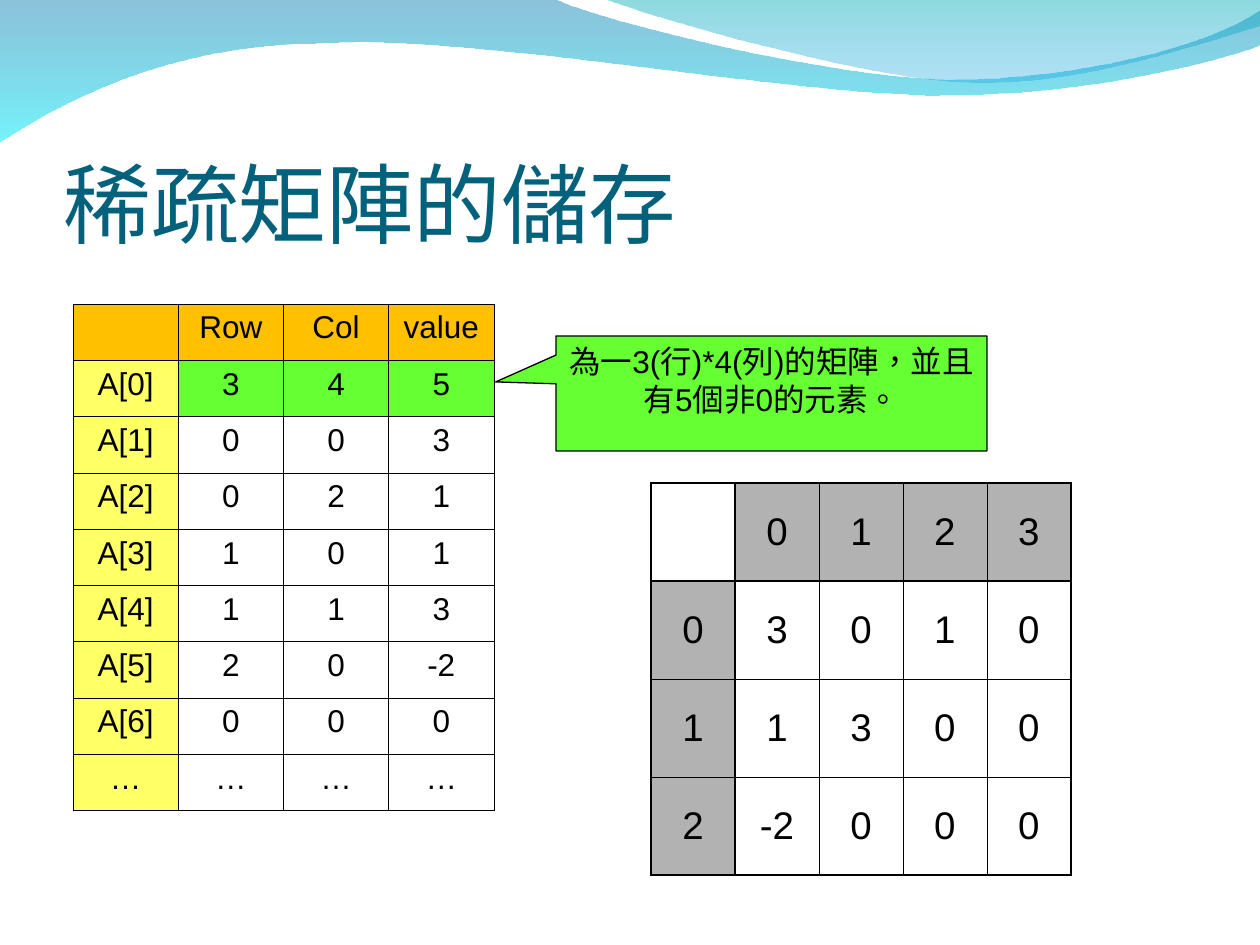
"""Build the slide on storing a sparse matrix as row, column and value triples."""
from lxml import etree
from pptx import Presentation
from pptx import util as u
from pptx.dml.color import RGBColor
from pptx.enum import lang, shapes, text
from pptx.oxml import ns

PX = u.Inches(10) / 1260
COLORS = {
    "title": "04617B", "ink": "000000", "head": "FFC000", "index": "FFFF66",
    "size": "66FF33", "axis": "B2B2B2", "deep": "0079AF", "cyan": "00EBF8",
    "teal": "00ADB6", "sky": "009BE5",
}
CJK = "Noto Sans CJK SC"
THIN, THICK = u.Pt(0.45), u.Pt(1.08)


def style(paragraph, size, color, latin, align):
    paragraph.alignment = align
    font = paragraph.font
    font.size = u.Pt(size)
    font.color.rgb = RGBColor.from_string(COLORS[color])
    font.name = latin
    etree.SubElement(font._rPr, ns.qn("a:ea")).set("typeface", CJK)
    for run in paragraph.runs:
        run.font.language_id = lang.MSO_LANGUAGE_ID.TRADITIONAL_CHINESE


def draw_grid(box, rows, size, anchor, fills, heavy_rows=(), heavy_cols=()):
    frame = slide.shapes.add_table(len(rows), len(rows[0]), *[round(v * PX) for v in box])
    grid = frame.table
    grid.first_row = grid.horz_banding = False
    for r, row in enumerate(rows):
        for c, value in enumerate(row):
            cell = grid.cell(r, c)
            cell.text = value
            cell.vertical_anchor = anchor
            style(cell.text_frame.paragraphs[0], size, "ink", "Arial", text.PP_ALIGN.CENTER)
            if fills[r][c]:
                cell.fill.solid()
                cell.fill.fore_color.rgb = RGBColor.from_string(COLORS[fills[r][c]])
            else:
                cell.fill.background()
            edges = {"lnL": c in heavy_cols, "lnR": c + 1 in heavy_cols,
                     "lnT": r in heavy_rows, "lnB": r + 1 in heavy_rows}
            properties = cell._tc.get_or_add_tcPr()
            for place, (edge, heavy) in enumerate(edges.items()):
                border = etree.Element(ns.qn(f"a:{edge}"), w=str(THICK if heavy else THIN))
                solid = etree.SubElement(border, ns.qn("a:solidFill"))
                etree.SubElement(solid, ns.qn("a:srgbClr"), val=COLORS["ink"])
                properties.insert(place, border)


deck = Presentation()
deck.slide_width, deck.slide_height = u.Inches(10), u.Inches(7.5)
slide = deck.slides.add_slide(deck.slide_layouts[6])

waves = [
    ([[(0, -1)], [(554, -1)],
      [(600, 21), (837, 79), (955, 79)], [(1075, 79), (1207, 47), (1260, 11)],
      [(1261, 45)],
      [(1239, 55), (1096, 96), (940, 95)], [(784, 95), (481, 35), (324, 43)],
      [(163, 44), (58, 105), (-1, 142)]],
     [("deep", 45), ("cyan", 55)]),
    ([[(604, -1)],
      [(641, 14), (859, 78), (969, 82)], [(1079, 87), (1211, 40), (1260, 26)],
      [(1260, 0)]],
     [("teal", 45), ("sky", 30)]),
]
for segments, stops in waves:
    (start,), *rest = segments
    builder = slide.shapes.build_freeform(*[round(v * PX) for v in start])
    builder.add_line_segments(
        [(round(x * PX), round(y * PX)) for segment in rest for x, y in segment])
    wave = builder.convert_to_shape()
    strokes = iter(list(wave._element.spPr.iter(ns.qn("a:lnTo"))))
    for segment in rest:
        legs = [next(strokes) for _ in segment]
        if len(legs) == 3:
            curve = etree.Element(ns.qn("a:cubicBezTo"))
            legs[0].addprevious(curve)
            for leg in legs:
                curve.append(leg[0])
                leg.getparent().remove(leg)
    wave.shadow.inherit = False
    wave.fill.gradient()
    wave.fill.gradient_angle = 270
    for stop, (color, _) in zip(wave.fill.gradient_stops, stops):
        stop.color.rgb = RGBColor.from_string(COLORS[color])
    for shade, (_, opacity) in zip(wave._element.spPr.iter(ns.qn("a:srgbClr")), stops):
        etree.SubElement(shade, ns.qn("a:alpha"), val=str(opacity * 1000))
    wave.line.fill.background()

title = slide.shapes.add_textbox(*[round(v * PX) for v in (64, 98, 1134, 157)]).text_frame
title.word_wrap = True
title.vertical_anchor = text.MSO_ANCHOR.BOTTOM
title.margin_left = title.margin_right = title.margin_bottom = 0
title.text = "稀疏矩陣的儲存"
style(title.paragraphs[0], 50, "title", CJK, text.PP_ALIGN.LEFT)

triples = [
    ["", "Row", "Col", "value"],
    ["A[0]", "3", "4", "5"],
    ["A[1]", "0", "0", "3"],
    ["A[2]", "0", "2", "1"],
    ["A[3]", "1", "0", "1"],
    ["A[4]", "1", "1", "3"],
    ["A[5]", "2", "0", "-2"],
    ["A[6]", "0", "0", "0"],
    ["…", "…", "…", "…"],
]
triple_fills = [["head"] * 4, ["index"] + ["size"] * 3] + [["index"] + [None] * 3] * 7
draw_grid((73, 304, 421, 507), triples, 18, text.MSO_ANCHOR.TOP, triple_fills)

callout = slide.shapes.add_shape(
    shapes.MSO_SHAPE.RECTANGULAR_CALLOUT, *[round(v * PX) for v in (556, 336, 431, 115)])
callout.adjustments[0], callout.adjustments[1] = -0.64, -0.1
callout.shadow.inherit = False
callout.fill.solid()
callout.fill.fore_color.rgb = RGBColor.from_string(COLORS["size"])
callout.line.color.rgb = RGBColor.from_string(COLORS["ink"])
callout.line.width = u.Pt(0.75)
note = callout.text_frame
note.word_wrap = True
note.vertical_anchor = text.MSO_ANCHOR.TOP
note.text = "為一3(行)*4(列)的矩陣，並且有5個非0的元素。"
style(note.paragraphs[0], 18, "ink", "Arial", text.PP_ALIGN.CENTER)

matrix = [
    ["", "0", "1", "2", "3"],
    ["0", "3", "0", "1", "0"],
    ["1", "1", "3", "0", "0"],
    ["2", "-2", "0", "0", "0"],
]
matrix_fills = [[None] + ["axis"] * 4] + [["axis"] + [None] * 4] * 3
draw_grid((651, 483, 420, 392), matrix, 22, text.MSO_ANCHOR.MIDDLE, matrix_fills,
          heavy_rows=(0, 1, 4), heavy_cols=(0, 1, 5))

deck.save("out.pptx")
